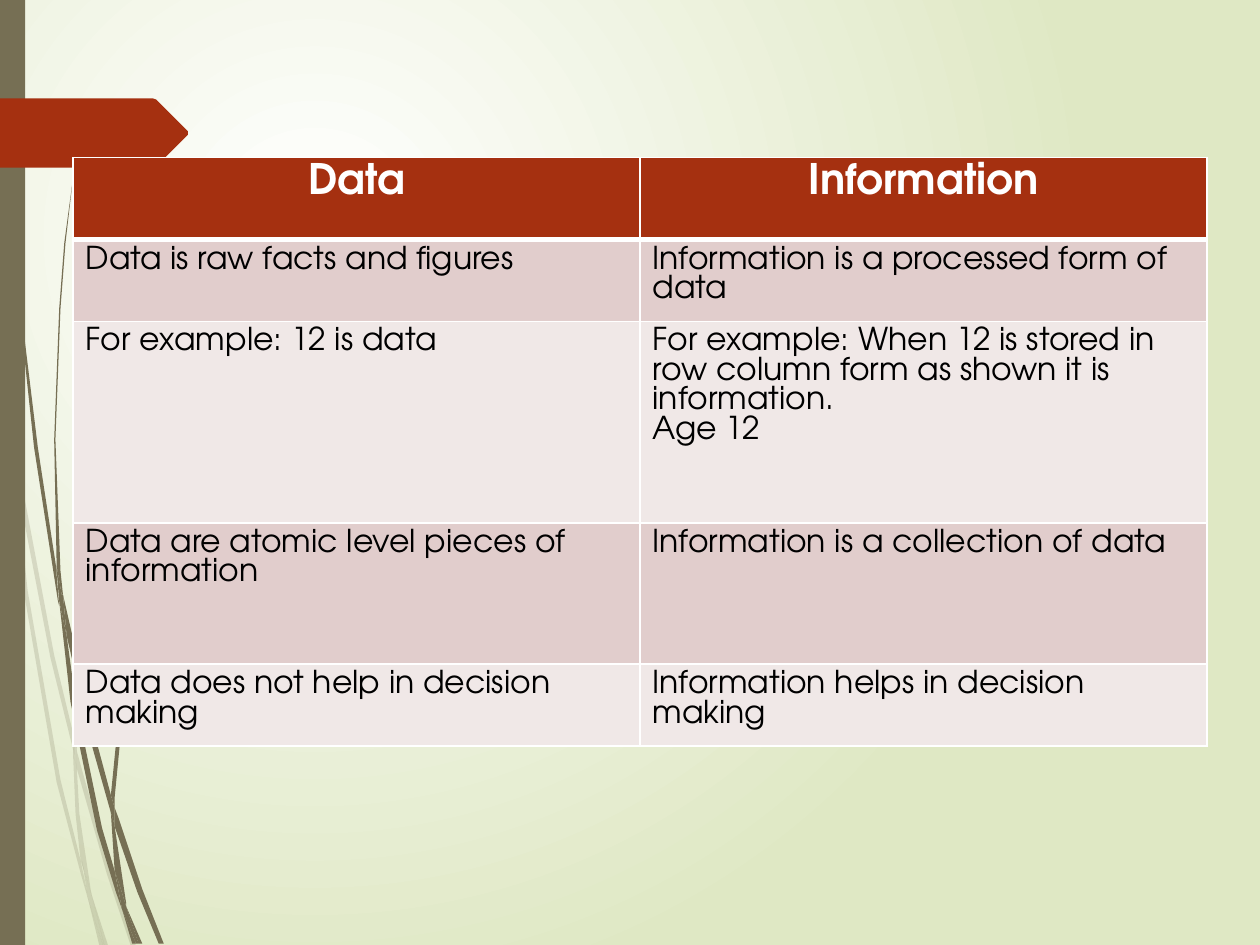
from lxml.etree import SubElement as Sub
from pptx import Presentation
from pptx.dml.color import RGBColor as RGB
from pptx.enum.shapes import MSO_SHAPE as Shape
from pptx.enum.text import PP_ALIGN as Align
from pptx.oxml.ns import qn
from pptx.util import Pt

PX = 9144  # EMU in one px, 100 px to the inch
FONT = "TeX Gyre Adventor"
WHITE = RGB(0xFF, 0xFF, 0xFF)
BLACK = RGB(0x00, 0x00, 0x00)
GREEN = RGB(0xDF, 0xE8, 0xC4)
OLIVE = RGB(0x76, 0x6F, 0x54)
RUST = RGB(0xA5, 0x30, 0x10)
ROSE = RGB(0xE1, 0xCD, 0xCC)
BLUSH = RGB(0xF0, 0xE8, 0xE7)

# Corner points of each stem, as x,y in px.
PALE_STEMS = [
    "8,350 6,322 0,282 0,299 7,344",
    "40,522 59,599 59,586 43,520 10,345 12,376",
    "64,607 61,596 61,610 85,694 104,751 108,751 88,692",
    "83,751 86,751 73,711",
    "64,683 48,619 22,469 12,376 8,350 19,470 45,621 64,693 70,714 69,707",
    "58,599 60,646 64,683 67,692 73,711 72,706 63,646 61,610 61,608",
    "61,584 66,522 76,462 92,404 111,349 134,296 159,245 187,198 201,175 217,154 "
    "217,153 201,175 186,197 158,244 133,295 110,348 90,403 75,461 64,522 59,584 "
    "59,586 61,596",
    "70,714 79,751 82,751",
    "61,608 61,610 61,596 59,586 58,599",
    "67,692 65,683 69,707 70,714 82,751 83,751 73,711",
]
DARK_STEMS = [
    "5,110 14,233 27,355 46,477 47,481 45,457 45,453 30,355 15,232 6,109 4,48 3,0 "
    "2,0 3,48",
    "73,592 88,645 88,633 88,631 77,590 50,472 53,505",
    "94,649 91,641 91,656 109,708 126,749 130,749 113,706",
    "91,691 81,657 60,556 53,505 47,477 56,557 77,659 92,708 97,722 96,717",
    "50,472 48,453 44,349 48,245 52,193 58,141 51,193 47,245 43,349 45,449 49,472",
    "110,749 113,749 100,719",
    "47,477 53,505 50,472 49,472 45,449 45,453",
    "91,633 95,592 103,552 131,476 169,406 191,374 203,359 216,344 215,344 203,358 "
    "191,373 168,405 129,474 101,551 92,591 88,631 91,641",
    "97,722 105,749 108,749",
    "88,645 91,691 96,706 100,719 100,716 91,656 90,651",
    "88,645 90,651 91,656 91,641 88,631 88,633",
    "96,706 91,691 96,717 97,722 108,749 110,749 100,719",
]
ARROW = "149,107 124,132 121,133 0,133 0,78 121,78 124,79 149,104"
ROWS = [
    (65, "Data", "Information"),
    (65, "Data is raw facts and figures", "Information is a processed form of data"),
    (160, "For example: 12 is data",
     "For example: When 12 is stored in row column form as shown it is information.\n"
     "Age 12"),
    (112, "Data are atomic level pieces of information",
     "Information is a collection of data"),
    (65, "Data does not help in decision making", "Information helps in decision making"),
]


def paint(shape, color, alpha=None):
    shape.shadow.inherit = False
    shape.fill.solid()
    shape.fill.fore_color.rgb = color
    shape.line.fill.background()
    if alpha:
        tint = shape.element.spPr.find(".//" + qn("a:srgbClr"))
        Sub(tint, qn("a:alpha"), val=str(alpha * 1000))


def outline(shapes, text, color, alpha=None):
    first, *rest = [tuple(int(n) for n in pair.split(",")) for pair in text.split()]
    pen = shapes.build_freeform(*first, scale=PX)
    pen.add_line_segments(rest, close=True)
    paint(pen.convert_to_shape(), color, alpha)


def add_stems(slide, stems, alpha=None):
    group = slide.shapes.add_group_shape()
    for stem in stems:
        outline(group.shapes, stem, OLIVE, alpha)


def set_back(slide):
    fill = slide.background.fill
    fill.gradient()
    for stop, color in zip(fill.gradient_stops, (WHITE, GREEN)):
        stop.color.rgb = color
    grad = slide.element.find(".//" + qn("a:gradFill"))
    grad.remove(grad.find(qn("a:lin")))
    ring = Sub(grad, qn("a:path"), {"path": "circle"})
    Sub(ring, qn("a:fillToRect"), l="50000", t="50000", r="100000", b="100000")


def set_edges(cell, top, bottom):
    props = cell._tc.get_or_add_tcPr()
    for side, width in zip("LRTB", (1, 1, top, bottom)):
        line = Sub(props, qn("a:ln" + side), w=str(Pt(width)))
        Sub(Sub(line, qn("a:solidFill")), qn("a:srgbClr"), val=str(WHITE))


def fill_cell(cell, text, row):
    head = row == 0
    set_edges(cell, 3 if row == 1 else 1, 3 if head else 1)
    cell.fill.solid()
    cell.fill.fore_color.rgb = RUST if head else ROSE if row % 2 else BLUSH
    frame = cell.text_frame
    for i, words in enumerate(text.split("\n")):
        para = frame.add_paragraph() if i else frame.paragraphs[0]
        para.alignment = Align.CENTER if head else Align.LEFT
        run = para.add_run()
        run.text = words
        font = run.font
        font.name, font.size, font.bold = FONT, Pt(24 if head else 18), head
        font.color.rgb = WHITE if head else BLACK


def add_grid(slide):
    high = sum(row[0] for row in ROWS)
    table = slide.shapes.add_table(len(ROWS), 2, 58 * PX, 125 * PX, 900 * PX, high * PX).table
    table.horz_banding = False
    for r, (tall, *texts) in enumerate(ROWS):
        table.rows[r].height = tall * PX
        for c, text in enumerate(texts):
            fill_cell(table.cell(r, c), text, r)


def main():
    deck = Presentation()
    deck.slide_width, deck.slide_height = 1000 * PX, 750 * PX
    slide = deck.slides.add_slide(deck.slide_layouts[6])
    set_back(slide)
    add_stems(slide, PALE_STEMS, 20)
    add_stems(slide, DARK_STEMS)
    paint(slide.shapes.add_shape(Shape.RECTANGLE, 0, 0, 20 * PX, 750 * PX), OLIVE)
    outline(slide.shapes, ARROW, RUST)
    add_grid(slide)
    deck.save("out.pptx")


if __name__ == "__main__":
    main()
